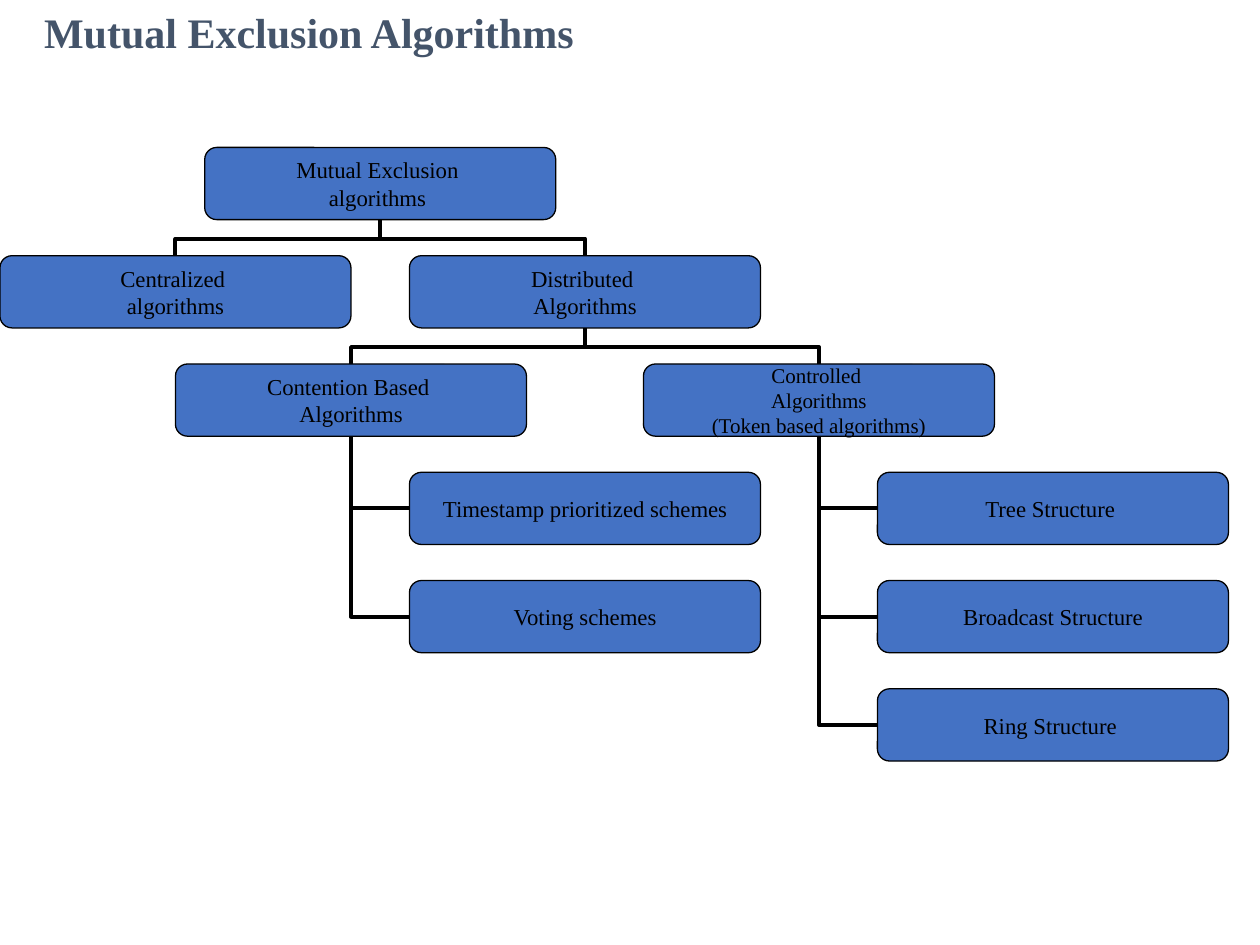
from collections import namedtuple
from dataclasses import dataclass

from lxml import etree
from pptx import Presentation
from pptx import util as u
from pptx.dml.color import RGBColor
from pptx.enum import shapes, text
from pptx.oxml import ns


@dataclass(frozen=True)
class Theme:
    font: str = "Times New Roman"
    title_color: RGBColor = RGBColor(0x44, 0x54, 0x6A)
    ink: RGBColor = RGBColor(0, 0, 0)
    node_fill: RGBColor = RGBColor(0x44, 0x72, 0xC4)
    title_size: int = 24
    node_size: int = 13
    dense_size: int = 12
    outline: float = 0.75
    branch: float = 2.25


THEME = Theme()
Region = namedtuple("Region", "left top width height")
Node = namedtuple("Node", "label column row parent")

COLUMNS = 21
NODE_COLUMNS = 6
ROWS = 6
ROW_PITCH = 1.5
BEND = 0.47
HANGING_ROW = 3

NODES = {
    "root": Node("Mutual Exclusion \nalgorithms ", 3.5, 0, None),
    "centralized": Node("Centralized \nalgorithms", 0, 1, "root"),
    "distributed": Node("Distributed \nAlgorithms", 7, 1, "root"),
    "contention": Node("Contention Based \nAlgorithms", 3, 2, "distributed"),
    "controlled": Node("Controlled \nAlgorithms\n(Token based algorithms)", 11, 2, "distributed"),
    "timestamp": Node("Timestamp prioritized schemes", 7, 3, "contention"),
    "voting": Node("Voting schemes", 7, 4, "contention"),
    "tree": Node("Tree Structure ", 15, 3, "controlled"),
    "broadcast": Node("Broadcast Structure", 15, 4, "controlled"),
    "ring": Node("Ring Structure ", 15, 5, "controlled"),
}


def style_font(frame, size, color, bold=False):
    for paragraph in frame.paragraphs:
        for run in paragraph.runs:
            run.font.name = THEME.font
            run.font.size = u.Pt(size)
            run.font.color.rgb = color
            run.font.bold = bold


def add_title(slide, region):
    title = slide.shapes.title
    title.left, title.top, title.width, title.height = region
    frame = title.text_frame
    frame.text = "Mutual Exclusion Algorithms"
    frame.word_wrap = True
    frame.auto_size = text.MSO_AUTO_SIZE.NONE
    frame.vertical_anchor = text.MSO_ANCHOR.TOP
    frame.paragraphs[0].alignment = text.PP_ALIGN.LEFT
    style_font(frame, THEME.title_size, THEME.title_color, bold=True)


def place_node(node, region):
    column_width = region.width / COLUMNS
    height = region.height / ((ROWS - 1) * ROW_PITCH + 1)
    return Region(
        int(region.left + node.column * column_width),
        int(region.top + node.row * ROW_PITCH * height),
        int(NODE_COLUMNS * column_width),
        int(height),
    )


def add_elbow(slide, *ends):
    elbow = slide.shapes.add_connector(shapes.MSO_CONNECTOR.ELBOW, *map(int, ends))
    elbow.line.color.rgb = THEME.ink
    elbow.line.width = u.Pt(THEME.branch)
    properties = elbow._element.spPr
    etree.SubElement(properties, ns.qn("a:effectLst"))
    return properties


def add_hanging_branch(slide, parent, child):
    properties = add_elbow(
        slide, child.left, child.top + child.height / 2,
        parent.left + parent.width / 2, parent.top + parent.height,
    )
    properties.find(ns.qn("a:prstGeom")).set("prst", "bentConnector2")


def add_forked_branch(slide, parent, child):
    child_x = child.left + child.width / 2
    parent_x = parent.left + parent.width / 2
    parent_bottom = parent.top + parent.height
    middle_x = (child_x + parent_x) / 2
    middle_y = (child.top + parent_bottom) / 2
    half_gap = (child.top - parent_bottom) / 2
    half_span = (child_x - parent_x) / 2
    properties = add_elbow(
        slide, middle_x - half_gap, middle_y + half_span,
        middle_x + half_gap, middle_y - half_span,
    )
    properties.find(ns.qn("a:xfrm")).set("rot", str(270 * 60000))
    adjustments = properties.find(ns.qn("a:prstGeom")).get_or_add_avLst()
    bend = etree.SubElement(adjustments, ns.qn("a:gd"))
    bend.set("name", "adj1")
    bend.set("fmla", f"val {round(BEND * 100000)}")


def add_node(slide, label, place):
    box = slide.shapes.add_shape(shapes.MSO_SHAPE.ROUNDED_RECTANGLE, *place)
    box.shadow.inherit = False
    box.fill.solid()
    box.fill.fore_color.rgb = THEME.node_fill
    box.line.color.rgb = THEME.ink
    box.line.width = u.Pt(THEME.outline)
    frame = box.text_frame
    frame.text = label
    frame.word_wrap = False
    frame.vertical_anchor = text.MSO_ANCHOR.MIDDLE
    frame.margin_left = frame.margin_right = frame.margin_top = frame.margin_bottom = 0
    for paragraph in frame.paragraphs:
        paragraph.alignment = text.PP_ALIGN.CENTER
    size = THEME.dense_size if len(frame.paragraphs) > 2 else THEME.node_size
    style_font(frame, size, THEME.ink)


def add_hierarchy(slide, region):
    places = {key: place_node(node, region) for key, node in NODES.items()}
    for key, node in NODES.items():
        if node.parent:
            add_branch = add_hanging_branch if node.row >= HANGING_ROW else add_forked_branch
            add_branch(slide, places[node.parent], places[key])
    for key, node in NODES.items():
        add_node(slide, node.label, places[key])


def main():
    deck = Presentation()
    deck.slide_width, deck.slide_height = u.Inches(10), u.Inches(7.5)
    slide = deck.slides.add_slide(deck.slide_layouts[5])
    add_title(slide, Region(u.Inches(0.25), u.Inches(0), u.Inches(8.08), u.Inches(0.5)))
    add_hierarchy(slide, Region(u.Inches(0), u.Inches(1.17), u.Inches(9.75), u.Inches(4.87)))
    deck.save("out.pptx")


if __name__ == "__main__":
    main()
